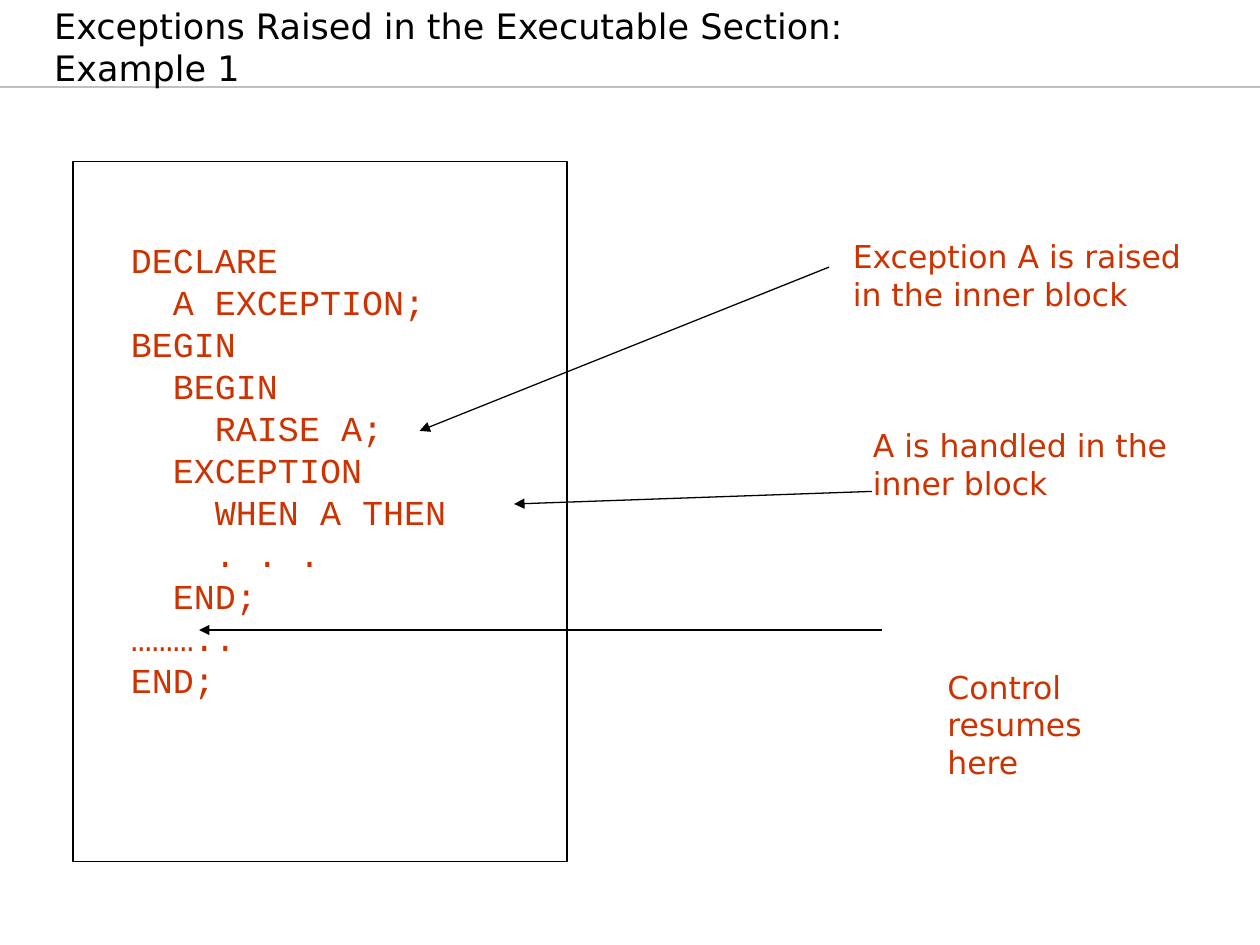
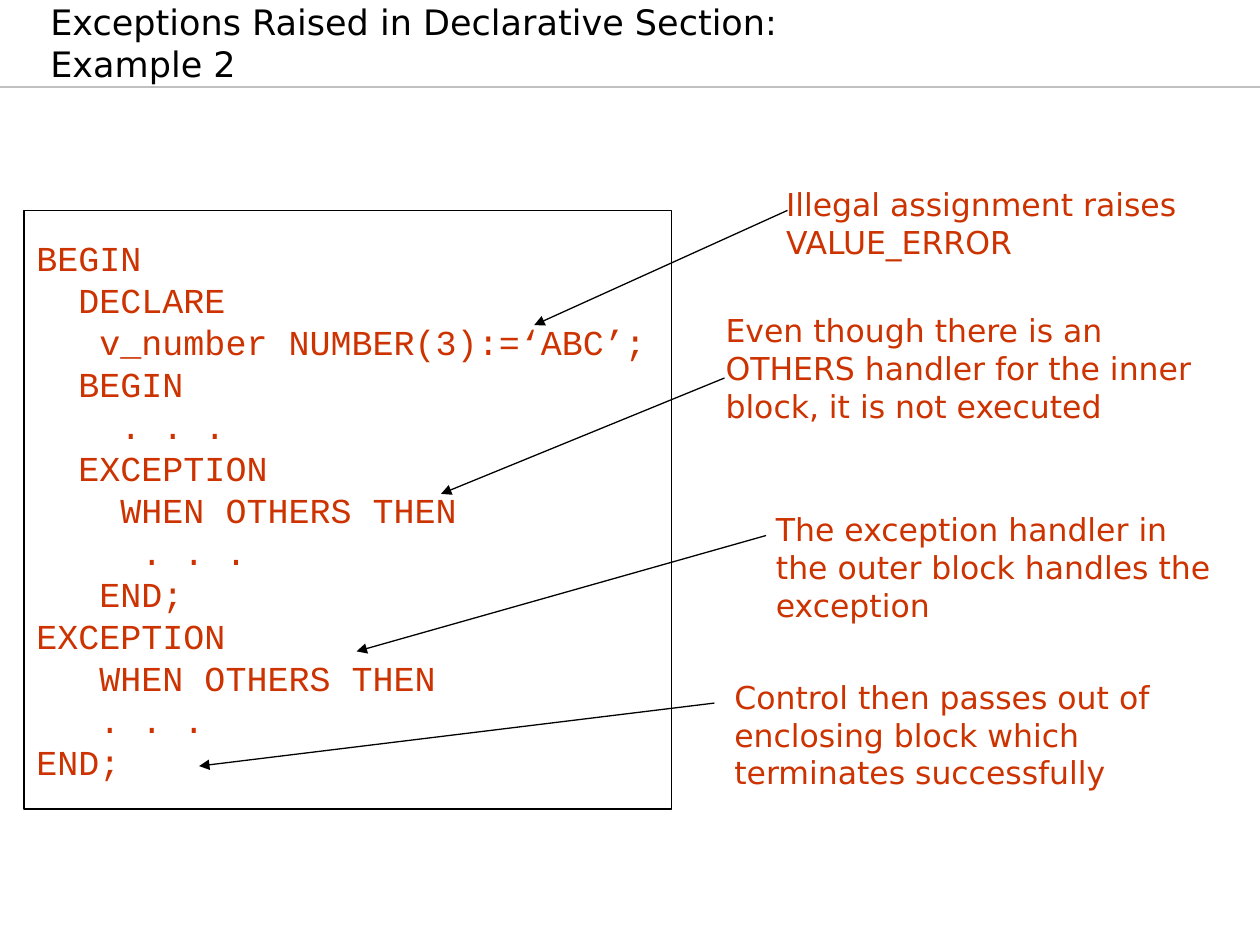
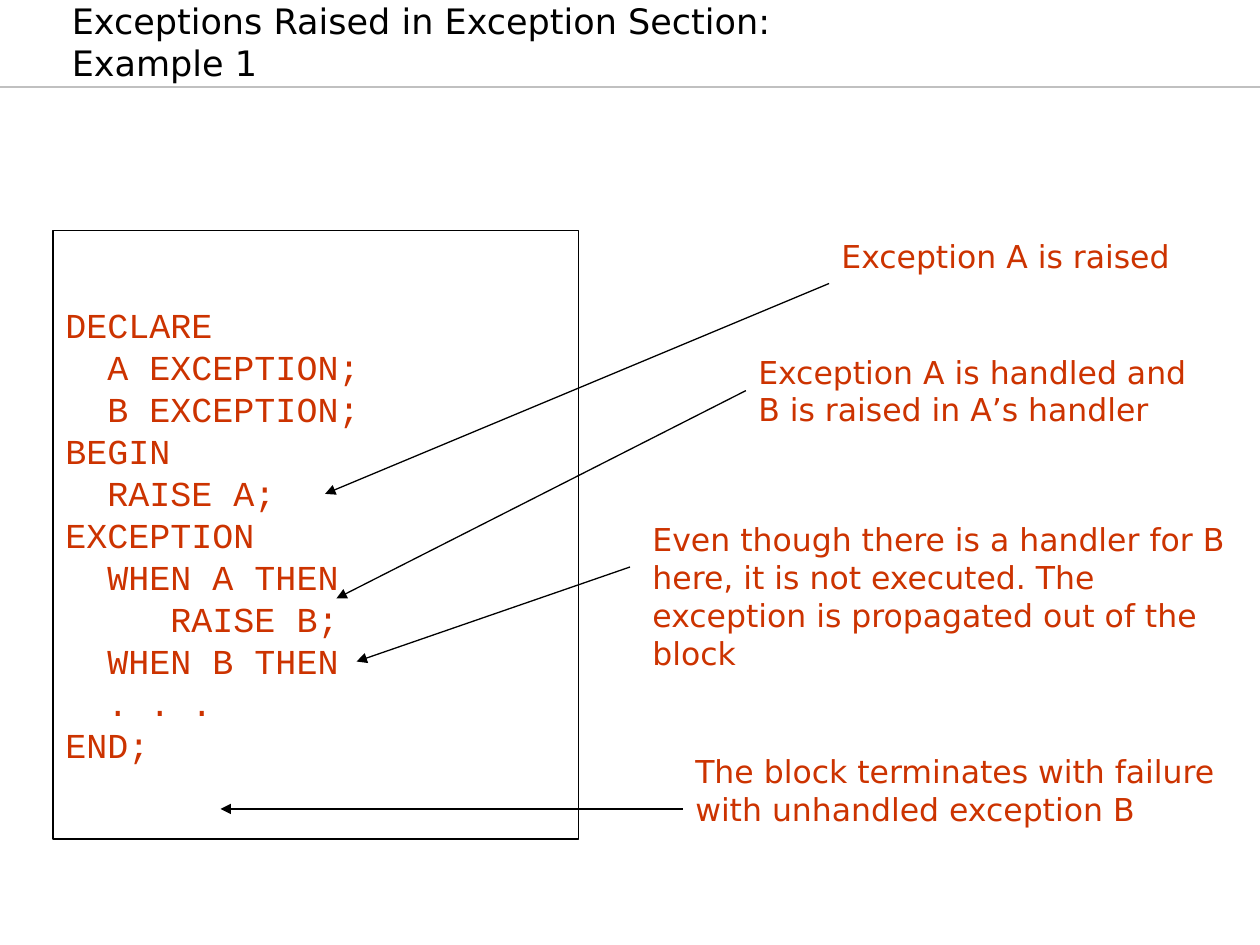
"""Build three slides that trace how PL/SQL exceptions propagate."""
from dataclasses import dataclass

from lxml import etree
from pptx import Presentation
from pptx.dml.color import RGBColor
from pptx.enum.shapes import MSO_CONNECTOR, MSO_SHAPE
from pptx.enum.text import MSO_ANCHOR, PP_ALIGN
from pptx.oxml.ns import qn
from pptx.util import Inches, Pt

STRAIGHT = MSO_CONNECTOR.STRAIGHT
RECTANGLE = MSO_SHAPE.RECTANGLE
TOP, MIDDLE, BOTTOM = MSO_ANCHOR.TOP, MSO_ANCHOR.MIDDLE, MSO_ANCHOR.BOTTOM
LEFT = PP_ALIGN.LEFT
LEFT_SIDE = 1


@dataclass(frozen=True)
class Theme:
    black: RGBColor = RGBColor(0x00, 0x00, 0x00)
    white: RGBColor = RGBColor(0xFF, 0xFF, 0xFF)
    rule: RGBColor = RGBColor(0xC0, 0xC0, 0xC0)
    accent: RGBColor = RGBColor(0xCC, 0x33, 0x00)
    text_font: str = "DejaVu Sans"
    code_font: str = "Courier New"
    title_size: Pt = Pt(20)
    code_size: Pt = Pt(20)
    note_size: Pt = Pt(18)
    line_width: Pt = Pt(0.75)


THEME = Theme()

SLIDES = [
    {
        "title": ["Exceptions Raised in the Executable Section: Example 1"],
        "title_box": (0.03, 0.17, 7.31, 0.58),
        "frame": (0.58, 1.28, 3.92, 5.56),
        "code_box": (0.94, 1.84, 2.75, 3.77),
        "code": """\
DECLARE
  A EXCEPTION;
BEGIN
  BEGIN
    RAISE A;
  EXCEPTION
    WHEN A THEN
    . . .
  END;
………..
END;""",
        "notes": [
            ("Exception A is raised in the inner block",
             (6.67, 1.83, 3, 0.7), (6.58, 2.12), (3.33, 3.42)),
            ("A is handled in the inner block",
             (6.83, 3.33, 2.75, 0.7), (6.92, 3.9), (4.08, 4)),
            ("Control resumes here",
             (7.42, 5.25, 1.75, 1), (7, 5), (1.58, 5)),
        ],
    },
    {
        "title": ["Exceptions Raised in Declarative Section:", "Example 2"],
        "title_box": (0, 0.05, 9, 0.67),
        "frame": (0.19, 1.67, 5.14, 4.75),
        "code_box": None,
        "code": """\
BEGIN
  DECLARE
   v_number NUMBER(3):=‘ABC’;
  BEGIN
    . . .
  EXCEPTION
    WHEN OTHERS THEN
     . . .
   END;
EXCEPTION
   WHEN OTHERS THEN
   . . .
END;""",
        "notes": [
            ("Illegal assignment raises VALUE_ERROR",
             (6.14, 1.42, 3.61, 0.7), (6.25, 1.67), (4.24, 2.58)),
            ("Even though there is an OTHERS handler for the inner block, "
             "it is not executed",
             (5.66, 2.42, 4.18, 1), (5.75, 3), (3.5, 3.92)),
            ("The exception handler in the outer block handles the exception",
             (6.06, 4, 3.78, 1), (6.08, 4.25), (2.83, 5.17)),
            ("Control then passes out of enclosing block which terminates "
             "successfully",
             (5.73, 5.33, 3.94, 1), (5.67, 5.58), (1.58, 6.08)),
        ],
    },
    {
        "title": ["Exceptions Raised in Exception Section:", "Example 1"],
        "title_box": (0.17, 0.13, 9, 0.58),
        "frame": (0.42, 1.83, 4.17, 4.83),
        "code_box": None,
        "code": """\
DECLARE
  A EXCEPTION;
  B EXCEPTION;
BEGIN
  RAISE A;
EXCEPTION
  WHEN A THEN
     RAISE B;
  WHEN B THEN
  . . .
END;""",
        "notes": [
            ("Exception A is raised",
             (6.58, 1.83, 3.17, 0.4), (6.58, 2.25), (2.58, 3.92)),
            ("Exception A is handled and B is raised in A’s handler",
             (5.92, 2.75, 3.83, 0.7), LEFT_SIDE, (2.67, 4.75)),
            ("Even though there is a handler for B here, it is not executed. "
             "The exception is propagated out of the block",
             (5.08, 4.08, 4.92, 1.3), (5, 4.5), (2.83, 5.25)),
            ("The block terminates with failure with unhandled exception B",
             (5.42, 5.92, 4.33, 0.7), (5.42, 6.42), (1.75, 6.42)),
        ],
    },
]


def write(sp, lines, font, size, color, anchor):
    tf = sp.text_frame
    tf.word_wrap = True
    tf.vertical_anchor = anchor
    for i, line in enumerate(lines):
        p = tf.add_paragraph() if i else tf.paragraphs[0]
        p.alignment = LEFT
        r = p.add_run()
        r.text = line
        r.font.name, r.font.size = font, size
        r.font.color.rgb = color


def add_line(s, start, end, color):
    points = [Inches(v) for v in (*start, *end)]
    line = s.shapes.add_connector(STRAIGHT, *points)
    line.line.color.rgb = color
    line.line.width = THEME.line_width
    etree.SubElement(line._element.spPr, qn("a:effectLst"))
    return line


prs = Presentation()
prs.slide_width, prs.slide_height = Inches(10), Inches(7.5)

for data in SLIDES:
    s = prs.slides.add_slide(prs.slide_layouts[6])
    add_line(s, (0, 0.69), (10, 0.69), THEME.rule)

    title = s.shapes.add_textbox(*map(Inches, data["title_box"]))
    title.text_frame.margin_left = Inches(0.4)
    write(title, data["title"], THEME.text_font, THEME.title_size,
          THEME.black, BOTTOM)

    frame = s.shapes.add_shape(RECTANGLE, *map(Inches, data["frame"]))
    frame.shadow.inherit = False
    frame.fill.solid()
    frame.fill.fore_color.rgb = THEME.white
    frame.line.color.rgb = THEME.black
    frame.line.width = THEME.line_width

    code, anchor = frame, MIDDLE
    if data["code_box"]:
        code = s.shapes.add_textbox(*map(Inches, data["code_box"]))
        anchor = TOP
    write(code, data["code"].splitlines(), THEME.code_font, THEME.code_size,
          THEME.accent, anchor)

    for text, box, start, end in data["notes"]:
        note = s.shapes.add_textbox(*map(Inches, box))
        write(note, [text], THEME.text_font, THEME.note_size,
              THEME.accent, TOP)
        joined = start == LEFT_SIDE
        arrow = add_line(s, box[:2] if joined else start, end, THEME.black)
        if joined:
            arrow.begin_connect(note, LEFT_SIDE)
        etree.SubElement(arrow.line._get_or_add_ln(), qn("a:tailEnd"),
                         type="triangle")

prs.save("out.pptx")
